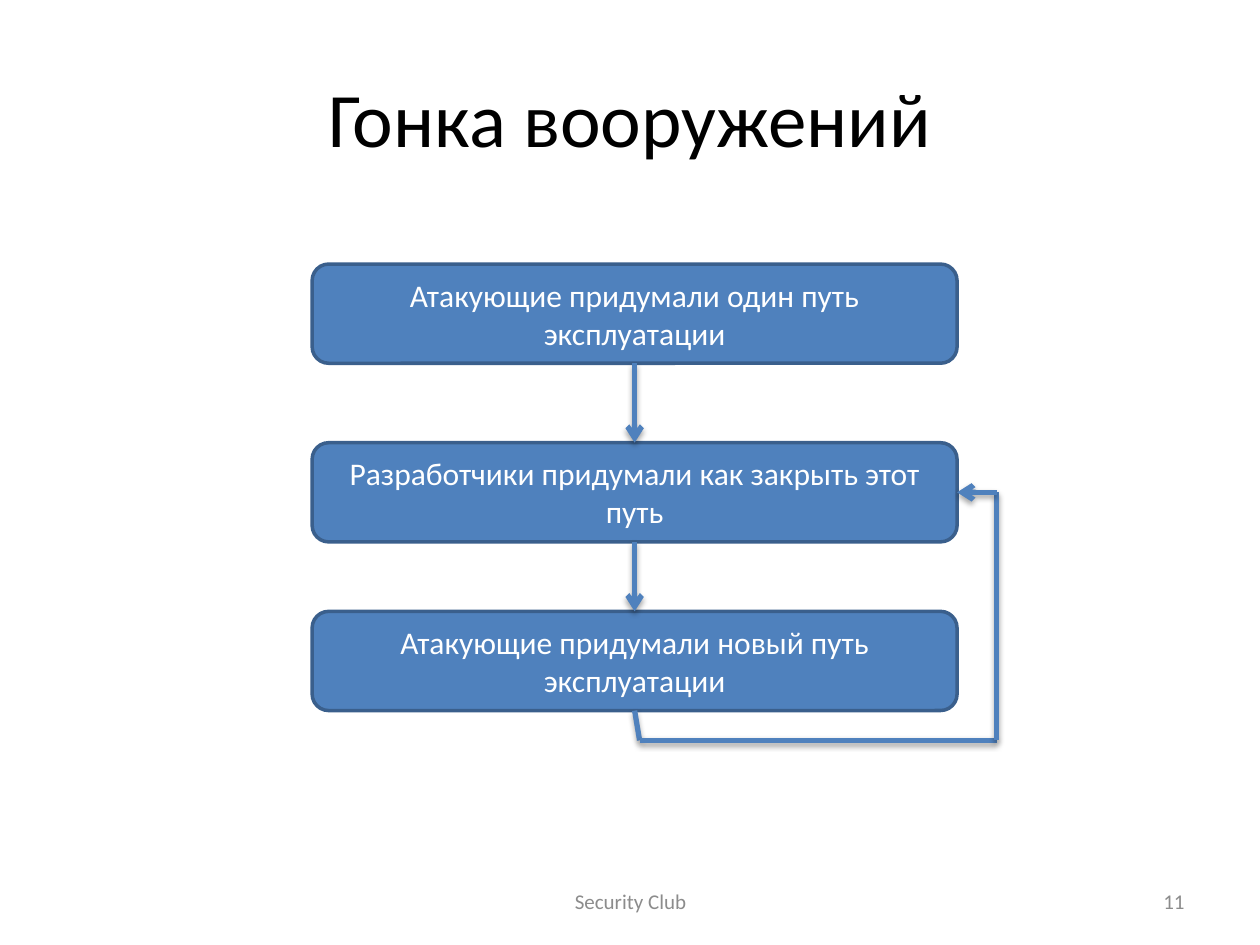
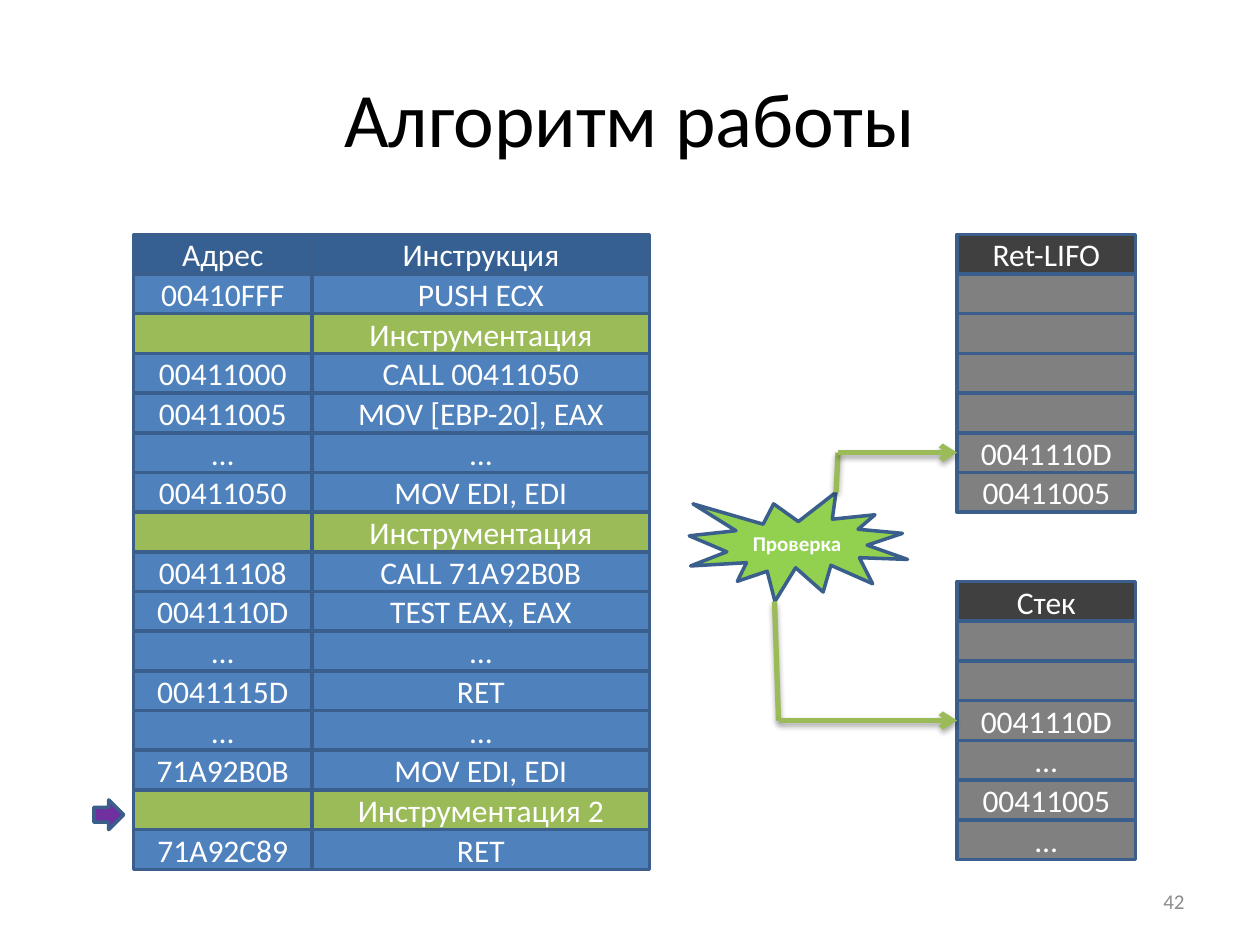
from lxml import etree
from pptx import Presentation
from pptx.dml.color import RGBColor
from pptx.enum.shapes import MSO_CONNECTOR, MSO_SHAPE
from pptx.enum.text import MSO_ANCHOR, PP_ALIGN
from pptx.oxml.ns import qn
from pptx.util import Inches, Pt

RECT, ROUND = MSO_SHAPE.RECTANGLE, MSO_SHAPE.ROUNDED_RECTANGLE
BURST, POINTER = MSO_SHAPE.EXPLOSION1, MSO_SHAPE.RIGHT_ARROW
STRAIGHT = MSO_CONNECTOR.STRAIGHT
MIDDLE = MSO_ANCHOR.MIDDLE
CENTER, RIGHT = PP_ALIGN.CENTER, PP_ALIGN.RIGHT

COLORS = {
    "title": "000000", "footer": "8C8C8C", "text": "FFFFFF",
    "blue": "4F81BD", "outline": "3A5F8C", "header": "376092",
    "green": "9BBB59", "check": "92D050", "pointer": "7030A0",
    "gray": "808080", "dark": "404040",
}
FONT = {"name": "Calibri", "bold": False}
TITLE = {**FONT, "size": Pt(44)}
BODY = {**FONT, "size": Pt(18)}
SMALL = {**FONT, "size": Pt(12)}
STRONG = {**SMALL, "bold": True}

SLIDE_W, SLIDE_H = 10, 7.5
CELL = 0.315
GRID_X, GRID_Y = 0.115, 0.285
ADDRESS_W, INSTRUCTION_W = 4.5, 8.5

STEPS = [
    (5.75, "Атакующие придумали один путь эксплуатации"),
    (10.25, "Разработчики придумали как закрыть этот путь"),
    (14.5, "Атакующие придумали новый путь эксплуатации"),
]
LISTING = [
    ("Адрес", "Инструкция"),
    ("00410FFF", "PUSH ECX"),
    ("", "Инструментация"),
    ("00411000", "CALL 00411050"),
    ("00411005", "MOV [EBP-20], EAX"),
    ("…", "…"),
    ("00411050", "MOV EDI, EDI"),
    ("", "Инструментация"),
    ("00411108", "CALL 71A92B0B"),
    ("0041110D", "TEST EAX, EAX"),
    ("…", "…"),
    ("0041115D", "RET"),
    ("…", "…"),
    ("71A92B0B", "MOV EDI, EDI"),
    ("", "Инструментация 2"),
    ("71A92C89", "RET"),
]
RET_LIFO = ["Ret-LIFO", "", "", "", "", "0041110D", "00411005"]
STACK = ["Стек", "", "", "0041110D", "…", "00411005", "…"]


def rgb(name):
    return RGBColor.from_string(COLORS[name])


def point(col, row):
    return Inches(GRID_X + col * CELL), Inches(GRID_Y + row * CELL)


def write(sp, text, fmt, color, align=CENTER):
    tf = sp.text_frame
    tf.word_wrap = True
    tf.vertical_anchor = MIDDLE
    p = tf.paragraphs[0]
    p.alignment = align
    r = p.add_run()
    r.text = text
    for name, value in fmt.items():
        setattr(r.font, name, value)
    r.font.color.rgb = rgb(color)


def label(s, box, text, fmt, color, align=CENTER):
    x, y, w, h = box
    sp = s.shapes.add_textbox(Inches(x * SLIDE_W), Inches(y * SLIDE_H),
                              Inches(w * SLIDE_W), Inches(h * SLIDE_H))
    write(sp, text, fmt, color, align)


def block(s, kind, box, fill, text="", fmt=BODY):
    col, row, cols, rows = box
    sp = s.shapes.add_shape(kind, *point(col, row),
                            Inches(cols * CELL), Inches(rows * CELL))
    sp.shadow.inherit = False
    sp.fill.solid()
    sp.fill.fore_color.rgb = rgb(fill)
    sp.line.color.rgb = rgb("outline")
    sp.line.width = Pt(2)
    if text:
        write(sp, text, fmt, "text")


def add_shadow(cx):
    effects = etree.SubElement(cx._element.spPr, qn("a:effectLst"))
    shadow = etree.SubElement(effects, qn("a:outerShdw"), blurRad="40000",
                              dist="23000", dir="5400000", rotWithShape="0")
    black = etree.SubElement(shadow, qn("a:srgbClr"), val="000000")
    etree.SubElement(black, qn("a:alpha"), val="35000")


def route(s, color, *stops):
    for start, end in zip(stops, stops[1:]):
        cx = s.shapes.add_connector(STRAIGHT, *point(*start), *point(*end))
        cx.line.color.rgb = rgb(color)
        cx.line.width = Pt(3)
        if end == stops[-1]:
            etree.SubElement(cx.line._get_or_add_ln(), qn("a:tailEnd"), type="arrow")
        add_shadow(cx)


def base_slide(prs, title, number, footer=""):
    s = prs.slides.add_slide(prs.slide_layouts[6])
    label(s, (0.05, 0.04, 0.9, 0.167), title, TITLE, "title")
    if footer:
        label(s, (0.342, 0.927, 0.317, 0.053), footer, SMALL, "footer")
    label(s, (0.717, 0.927, 0.233, 0.053), number, SMALL, "footer", RIGHT)
    return s


def arms_race(s, box):
    left, width, height = box
    middle, right = left + width / 2, left + width
    for top, text in STEPS:
        block(s, ROUND, (left, top, width, height), "blue", text)
    tops = [top for top, _ in STEPS]
    for top, below in zip(tops, tops[1:]):
        route(s, "blue", (middle, top + height), (middle, below))
    bottom = tops[-1] + height
    route(s, "blue", (middle, bottom), (middle + 0.125, bottom + 0.75),
          (right + 1, bottom + 0.75), (right + 1, tops[1] + height / 2),
          (right, tops[1] + height / 2))


def listing(s, left, top):
    for i, (address, instruction) in enumerate(LISTING):
        fill = "header" if i == 0 else "blue" if address else "green"
        row = top + i
        block(s, RECT, (left, row, ADDRESS_W, 1), fill, address)
        block(s, RECT, (left + ADDRESS_W, row, INSTRUCTION_W, 1), fill, instruction)
    block(s, POINTER, (left - 1, top + 14.25, 0.75, 0.75), "pointer")


def stack(s, left, top, values):
    for i, value in enumerate(values):
        block(s, RECT, (left, top + i, ADDRESS_W, 1), "gray" if i else "dark", value)


def check(s, left, top, target):
    block(s, BURST, (left, top, 5.5, 2.75), "check", "Проверка", STRONG)
    route(s, "green", (left + 3.7, top), (left + 3.75, top - 1), (target, top - 1))
    route(s, "green", (left + 2.15, top + 2.75), (left + 2.25, top + 5.75),
          (target, top + 5.75))


def main():
    prs = Presentation()
    prs.slide_width, prs.slide_height = Inches(SLIDE_W), Inches(SLIDE_H)

    s = base_slide(prs, "Гонка вооружений", "11", "Security Club")
    arms_race(s, (7.5, 16.25, 2.5))

    s = base_slide(prs, "Алгоритм работы", "42")
    listing(s, 3, 5)
    stack(s, 23.75, 5, RET_LIFO)
    stack(s, 23.75, 13.75, STACK)
    check(s, 17, 11.5, 23.75)

    prs.save("out.pptx")


if __name__ == "__main__":
    main()
